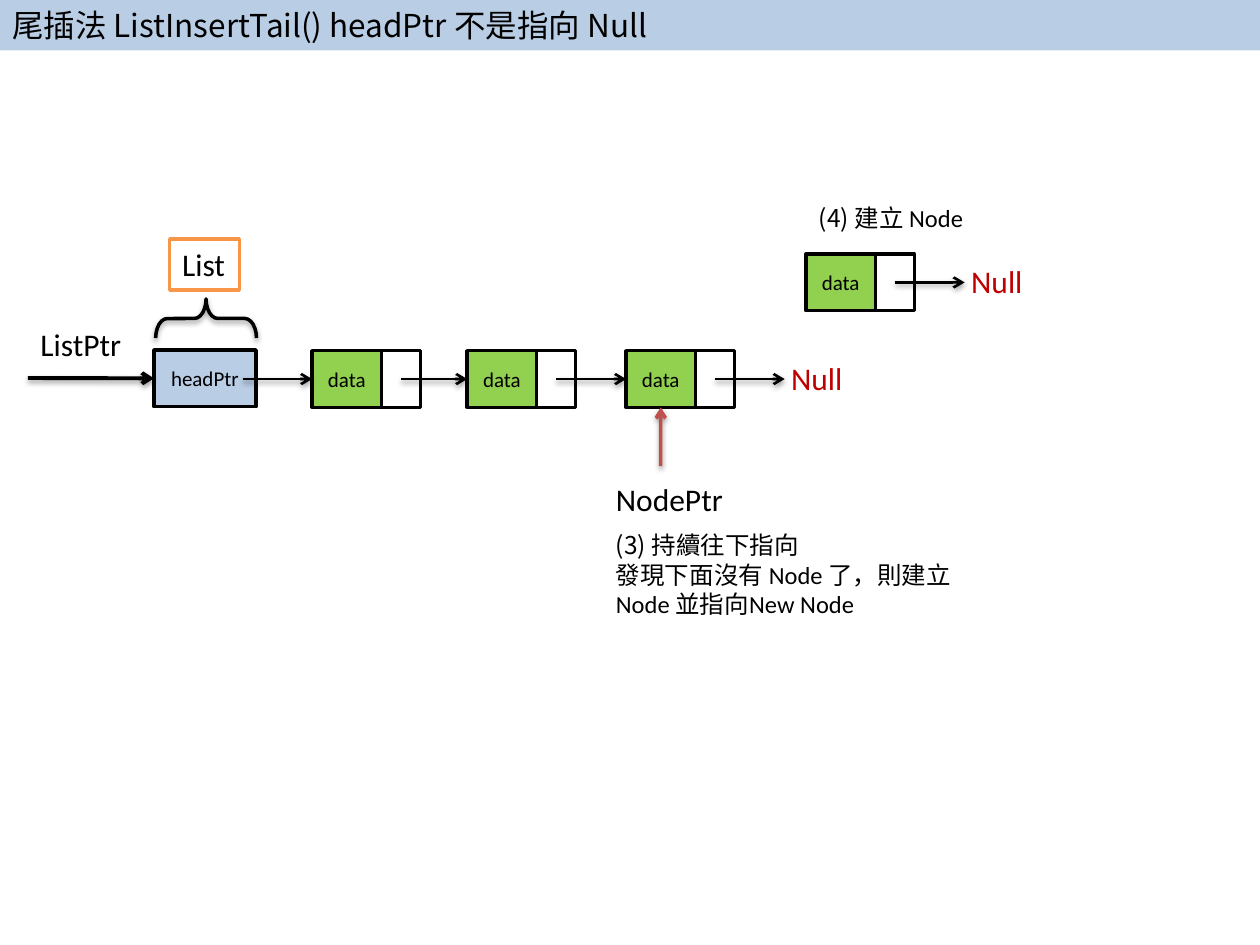
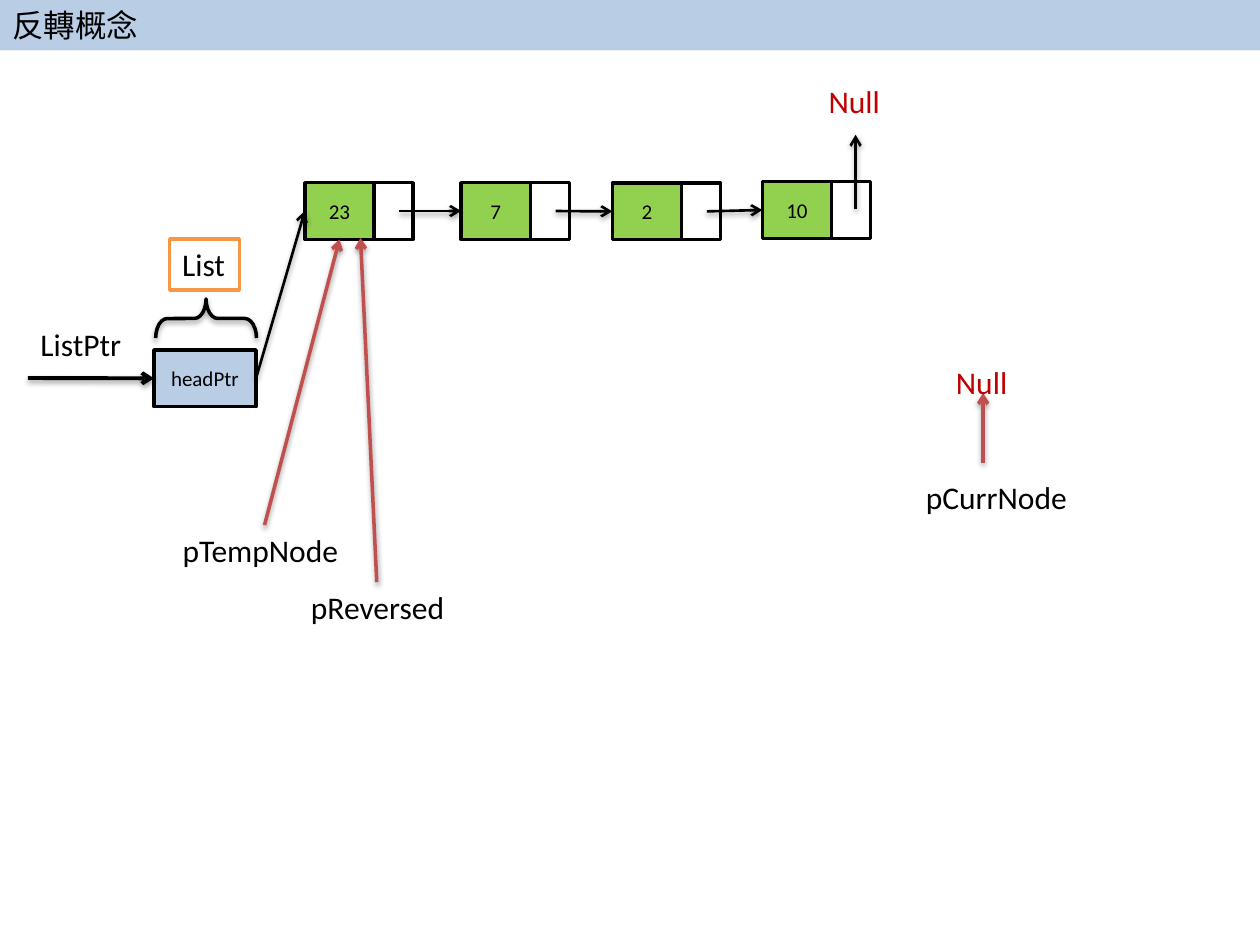
from dataclasses import dataclass

from lxml.etree import SubElement
from pptx import Presentation
from pptx.dml.color import RGBColor
from pptx.enum.shapes import MSO_CONNECTOR, MSO_SHAPE
from pptx.enum.text import MSO_ANCHOR, PP_ALIGN
from pptx.oxml.ns import qn
from pptx.shapes.autoshape import Shape
from pptx.shapes.connector import Connector
from pptx.slide import Slide
from pptx.util import Pt

LATIN = "Calibri"
CJK = "Noto Sans CJK SC"
BLACK = "000000"
WHITE = "FFFFFF"
PALE_BLUE = "B9CDE5"
GREEN = "92D050"
ORANGE = "F79646"
RED = "C0504D"
DARK_RED = "C00000"

PAGE_WIDTH, PAGE_HEIGHT = 720, 540
DATA_WIDTH, NEXT_WIDTH, NODE_HEIGHT = 39.6, 22.3, 32.4
LABEL_HEIGHT = 28.8
TOP, LEFT, BOTTOM, RIGHT = range(4)


@dataclass
class Node:
    text: str
    left: float
    top: float


@dataclass
class Label:
    text: str
    left: float
    top: float
    width: float
    color: str = BLACK


@dataclass
class Arrow:
    start: tuple[float, float]
    end: tuple[float, float]
    color: str = BLACK
    weight: float = 1.5


def rgb(color: str) -> RGBColor:
    return RGBColor.from_string(color)


def style_run(span, size: float, color: str = BLACK, font: str = LATIN) -> None:
    span.font.size = Pt(size)
    span.font.name = font
    span.font.color.rgb = rgb(color)
    east_asian = SubElement(span.font._element, qn("a:ea"))
    east_asian.set("typeface", CJK)


def cast_shadow(item: Shape | Connector) -> None:
    """Add a soft shadow below; call after fill and line are set."""
    effects = SubElement(item.element.spPr, qn("a:effectLst"))
    shadow = SubElement(effects, qn("a:outerShdw"), blurRad="40000", dist="20000",
                        dir="5400000", rotWithShape="0")
    shade = SubElement(shadow, qn("a:srgbClr"), val=BLACK)
    SubElement(shade, qn("a:alpha"), val="38000")


def add_box(page: Slide, left: float, top: float, width: float, height: float,
            fill: str, line: str | None = BLACK) -> Shape:
    box = page.shapes.add_shape(MSO_SHAPE.RECTANGLE, Pt(left), Pt(top), Pt(width), Pt(height))
    box.shadow.inherit = False
    box.fill.solid()
    box.fill.fore_color.rgb = rgb(fill)
    if line:
        box.line.color.rgb = rgb(line)
        box.line.width = Pt(2)
    else:
        box.line.fill.background()
    return box


def write(box: Shape, text: str, size: float, align: PP_ALIGN = PP_ALIGN.LEFT,
          anchor: MSO_ANCHOR = MSO_ANCHOR.TOP, color: str = BLACK, font: str = LATIN) -> None:
    frame = box.text_frame
    frame.text = text
    frame.word_wrap = True
    frame.vertical_anchor = anchor
    for paragraph in frame.paragraphs:
        paragraph.alignment = align
        for span in paragraph.runs:
            style_run(span, size, color, font)


def add_cell(page: Slide, text: str, left: float, top: float, width: float, fill: str) -> Shape:
    cell = add_box(page, left, top, width, NODE_HEIGHT, fill)
    write(cell, text, 12, PP_ALIGN.CENTER, MSO_ANCHOR.MIDDLE)
    return cell


def add_node(page: Slide, node: Node) -> Shape:
    """Draw the data cell and the next cell; return the data cell."""
    data = add_cell(page, node.text, node.left, node.top, DATA_WIDTH, GREEN)
    add_box(page, node.left + DATA_WIDTH, node.top, NEXT_WIDTH, NODE_HEIGHT, WHITE)
    return data


def add_label(page: Slide, label: Label) -> None:
    box = page.shapes.add_textbox(Pt(label.left), Pt(label.top), Pt(label.width), Pt(LABEL_HEIGHT))
    write(box, label.text, 18, color=label.color)


def add_note(page: Slide, paragraphs: list[list[tuple[str, str]]],
             left: float, top: float, width: float, height: float) -> None:
    """Each paragraph is a list of (text, font) pairs."""
    frame = page.shapes.add_textbox(Pt(left), Pt(top), Pt(width), Pt(height)).text_frame
    frame.word_wrap = True
    for index, parts in enumerate(paragraphs):
        paragraph = frame.add_paragraph() if index else frame.paragraphs[0]
        for text, font in parts:
            span = paragraph.add_run()
            span.text = text
            style_run(span, 14, font=font)


def add_arrow(page: Slide, arrow: Arrow, target: Shape | None = None,
              side: int = LEFT) -> Connector:
    (x1, y1), (x2, y2) = arrow.start, arrow.end
    line = page.shapes.add_connector(MSO_CONNECTOR.STRAIGHT, Pt(x1), Pt(y1), Pt(x2), Pt(y2))
    if target is not None:
        line.end_connect(target, side)
    line.line.color.rgb = rgb(arrow.color)
    line.line.width = Pt(arrow.weight)
    SubElement(line.line._ln, qn("a:tailEnd"), type="arrow")
    cast_shadow(line)
    return line


def add_title(page: Slide, text: str) -> None:
    band = add_box(page, 0, 0, PAGE_WIDTH, LABEL_HEIGHT, PALE_BLUE, None)
    write(band, text, 18, font=CJK)


def add_list_head(page: Slide) -> Shape:
    """Draw the ListPtr arrow, the List tag and its brace; return the headPtr box."""
    head = add_cell(page, "headPtr", 88, 200, 58.3, PALE_BLUE)
    add_arrow(page, Arrow((16, 216), (88, 216), weight=2.25), head)
    add_label(page, Label("ListPtr", 16, 182, 62))
    brace = page.shapes.add_shape(MSO_SHAPE.LEFT_BRACE, Pt(106.6), Pt(153.2), Pt(22.3), Pt(57.6))
    brace.rotation = 90
    brace.adjustments[0] = 0.3
    brace.fill.background()
    brace.line.color.rgb = rgb(BLACK)
    brace.line.width = Pt(2)
    cast_shadow(brace)
    tag = add_box(page, 97, 136.5, 39.8, 29.1, WHITE, ORANGE)
    write(tag, "List", 18)
    tag.text_frame.word_wrap = False
    return head


def build_insert_tail(page: Slide) -> None:
    add_list_head(page)
    row_top, link_y = 200.4, 216.6
    link_offset, link_length = 50.8, 39.8
    nodes = [Node("data", left, row_top) for left in (178.4, 267, 357.8)]
    cells = [add_node(page, node) for node in nodes]
    new_node = Node("data", 460.6, 145.2)
    add_node(page, new_node)

    link_starts = [139] + [node.left + link_offset for node in nodes]
    for start, target in zip(link_starts, cells + [None]):
        add_arrow(page, Arrow((start, link_y), (start + link_length, link_y)), target)
    new_start, new_y = new_node.left + link_offset, new_node.top + NODE_HEIGHT / 2
    add_arrow(page, Arrow((new_start, new_y), (new_start + link_length, new_y)))
    add_arrow(page, Arrow((377.5, 266.4), (377.5, 232), RED, 2), cells[-1], BOTTOM)

    for label in (
        Label("Null", 445, 201.6, 45.4, DARK_RED),
        Label("Null", 547.9, 146.2, 45.4, DARK_RED),
        Label("NodePtr", 344.9, 270.7, 77),
    ):
        add_label(page, label)
    add_note(page, [[("(3) 持續往下指向", CJK)],
                    [("發現下面沒有 Node 了，則建立 Node 並指向New Node", LATIN)]],
             344.9, 299.5, 208, 58.3)
    add_note(page, [[("(4) ", CJK), ("建立 Node", LATIN)]], 460.8, 112.3, 113, 24.5)
    add_title(page, "尾插法 ListInsertTail() headPtr 不是指向 Null")


def build_reverse(page: Slide) -> None:
    head = add_list_head(page)
    nodes = [Node("23", 174.2, 104.4), Node("7", 263.5, 104.4),
             Node("2", 349.9, 104.6), Node("10", 435.6, 103.8)]
    cells = [add_node(page, node) for node in nodes]

    for node, target in zip(nodes, cells[1:]):
        start, link_y = node.left + 54, node.top + NODE_HEIGHT / 2
        add_arrow(page, Arrow((start, link_y), (start + 33, link_y)), target)
    add_arrow(page, Arrow((488.9, 119.5), (488.9, 77)))
    head_link = add_arrow(page, Arrow((146, 216), (174, 121)), cells[0])
    head_link.begin_connect(head, RIGHT)
    add_arrow(page, Arrow((151.2, 300), (194, 137), RED, 2), cells[0], BOTTOM)
    add_arrow(page, Arrow((215.3, 332.6), (206, 136), RED, 2))
    add_arrow(page, Arrow((561.8, 264.5), (561.8, 224.6), RED, 2))

    for label in (
        Label("Null", 466.4, 43.2, 45.4, DARK_RED),
        Label("Null", 539.2, 203.8, 45.4, DARK_RED),
        Label("pCurrNode", 522, 269.5, 108.7),
        Label("pReversed", 170.6, 332.6, 108.7),
        Label("pTempNode", 97.2, 300, 108.7),
    ):
        add_label(page, label)
    add_title(page, "反轉概念")


def main() -> None:
    deck = Presentation()
    deck.slide_width, deck.slide_height = Pt(PAGE_WIDTH), Pt(PAGE_HEIGHT)
    for build in (build_insert_tail, build_reverse):
        build(deck.slides.add_slide(deck.slide_layouts[6]))
    deck.save("out.pptx")


if __name__ == "__main__":
    main()
